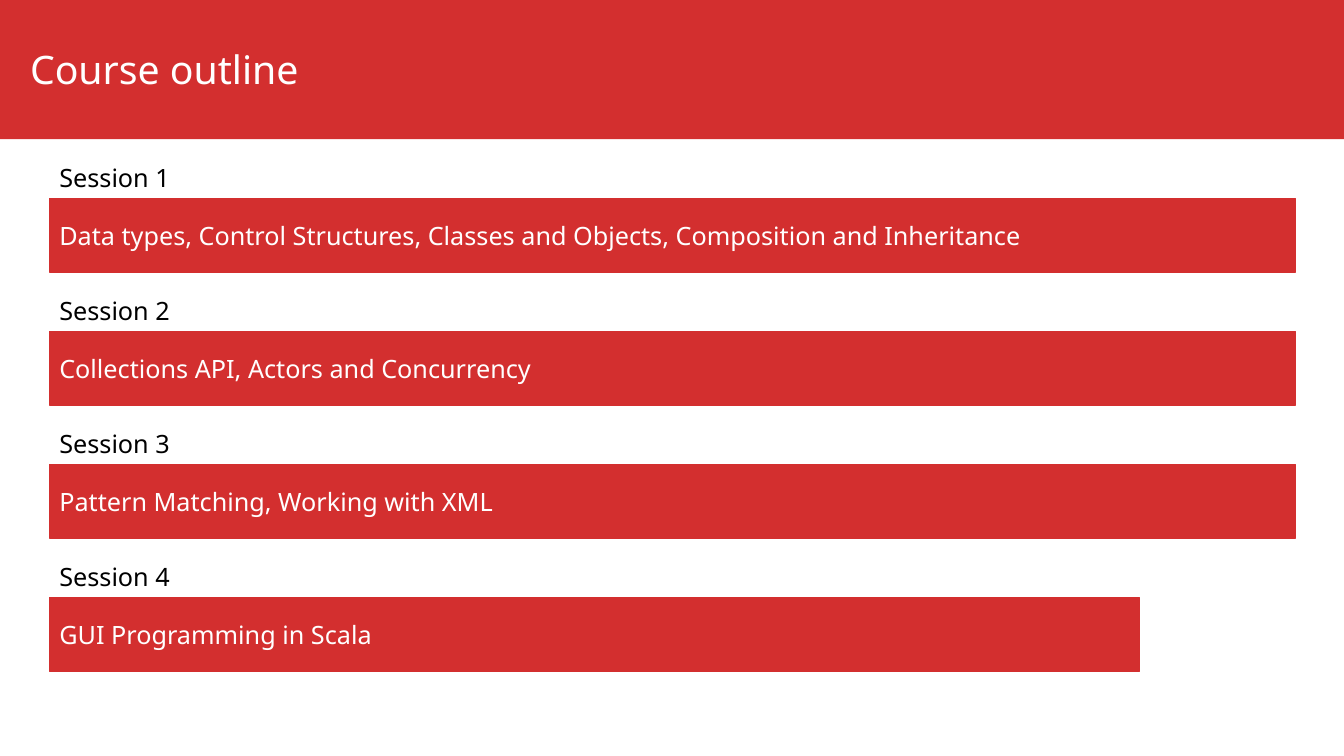
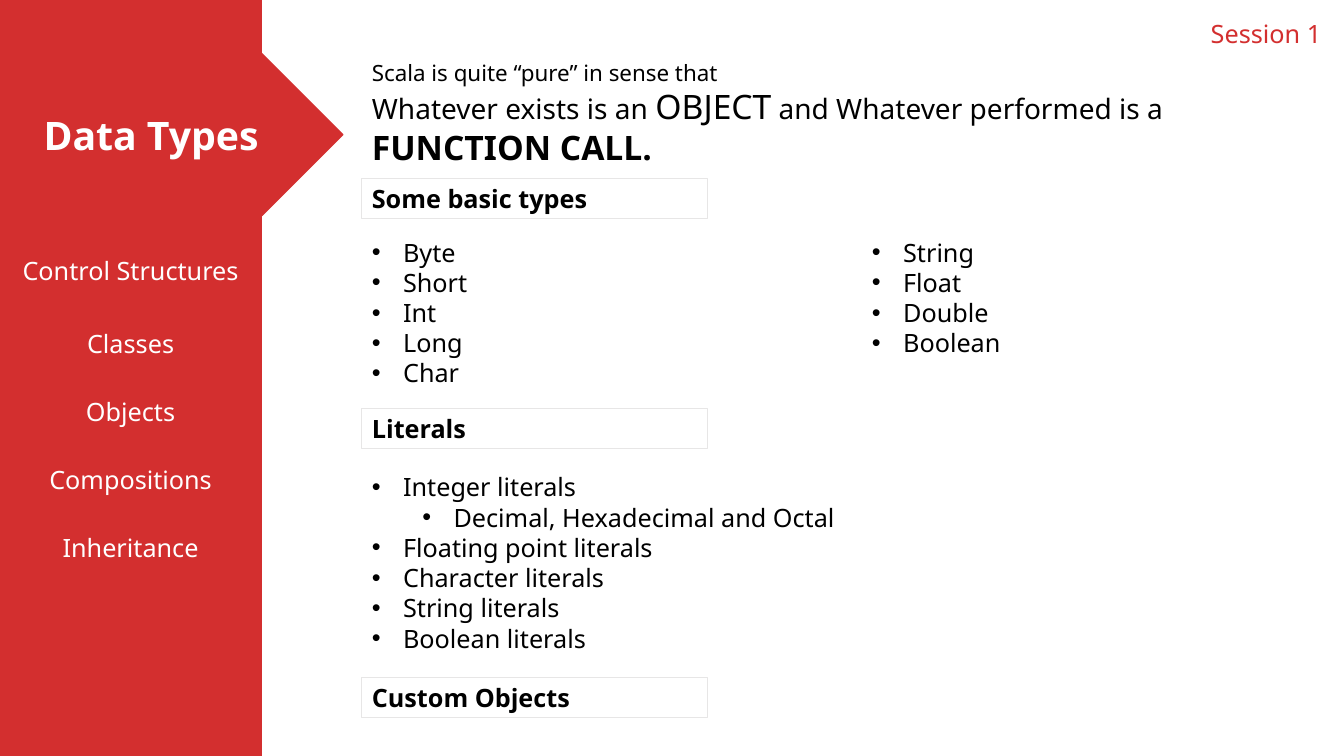
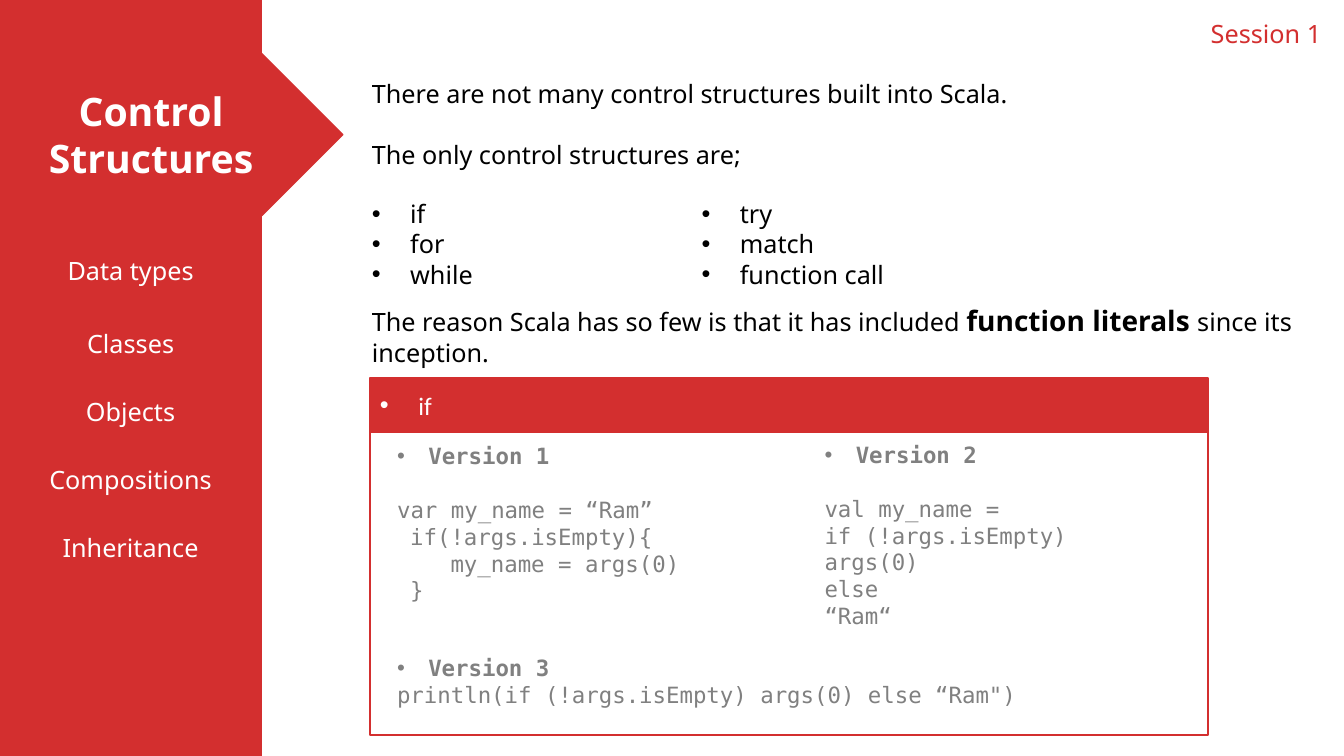
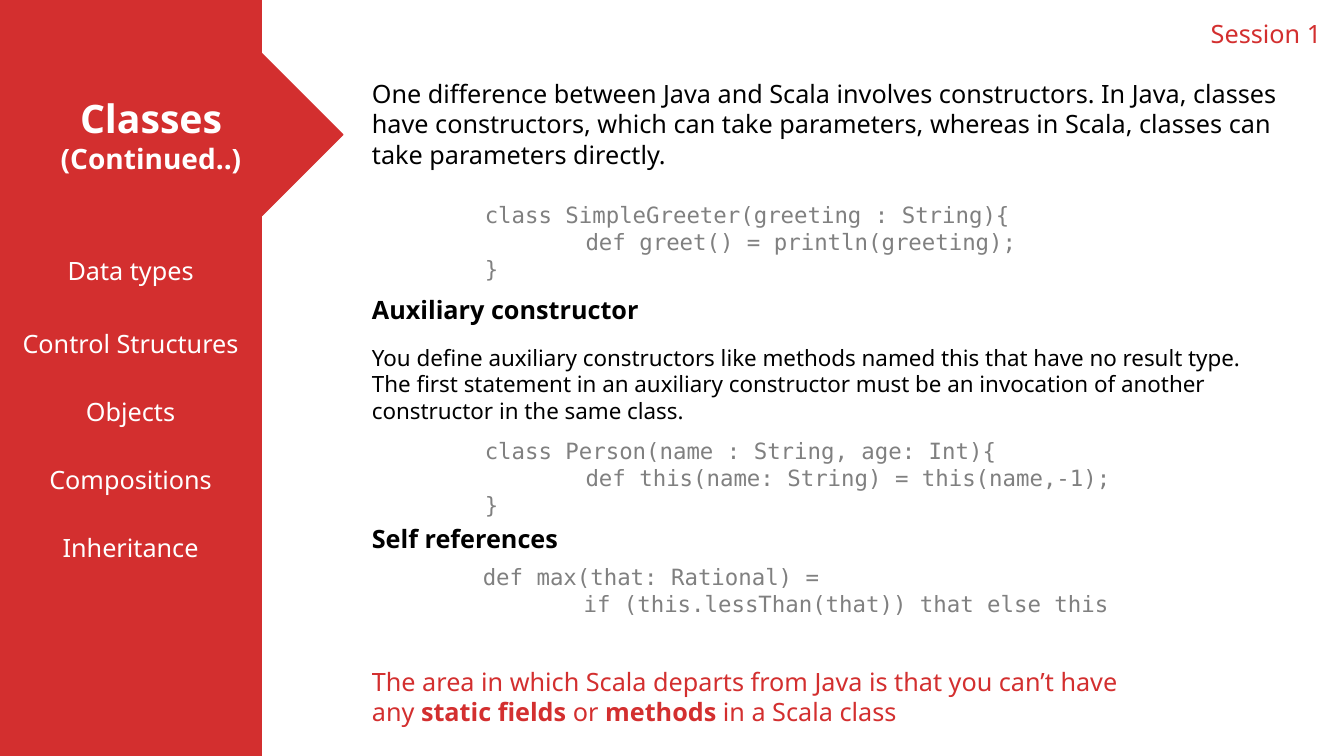
import dataclasses

import lxml.etree
import pptx
import pptx.dml.color
import pptx.enum.shapes
import pptx.enum.text
import pptx.oxml.ns
import pptx.util

Inches = pptx.util.Inches
Pt = pptx.util.Pt
RGBColor = pptx.dml.color.RGBColor
Kind = pptx.enum.shapes.MSO_SHAPE
Align = pptx.enum.text.PP_ALIGN
Anchor = pptx.enum.text.MSO_ANCHOR

RED = RGBColor(0xD3, 0x2F, 0x2F)
WHITE = RGBColor(0xFF, 0xFF, 0xFF)
BLACK = RGBColor(0, 0, 0)
GRAY = RGBColor(0x80, 0x80, 0x80)
PALE = RGBColor(0xE7, 0xE6, 0xE6)

SANS = "Noto Sans"
MONO = "DejaVu Sans Mono"


@dataclasses.dataclass
class Style:
    """Look of the text in one box."""
    size: int = 18
    color: RGBColor = BLACK
    font: str = SANS
    bold: bool = False
    align: Align = Align.LEFT
    hang: float = 0.31


@dataclasses.dataclass
class Line:
    """One paragraph; a span is (text, size, bold)."""
    text: str = ""
    spans: tuple = ()
    size: int = 0
    bold: bool = False
    bullet: bool = False
    indent: float = 0
    gap: float = 0


BODY = Style()
SMALL = Style(size=16)
HEADING = Style(bold=True)
CODE = Style(size=16, color=GRAY, font=MONO)
ON_RED = Style(color=WHITE)
TITLE = Style(size=28, color=WHITE)
ARROW_TITLE = Style(size=28, color=WHITE, bold=True, align=Align.CENTER)
TOPIC = Style(color=WHITE, align=Align.CENTER)
RED_NOTE = Style(color=RED)
KEYWORDS = Style(hang=0.38)
PANEL_TITLE = Style(color=WHITE, font="Calibri", hang=0.38)

# Content
SESSIONS = [
    ("Session 1", "Data types, Control Structures, Classes and Objects, "
                  "Composition and Inheritance", 12.36),
    ("Session 2", "Collections API, Actors and Concurrency", 12.36),
    ("Session 3", "Pattern Matching, Working with XML", 12.36),
    ("Session 4", "GUI Programming in Scala", 10.81),
]
TOPICS = ["Data types", "Control Structures", "Classes", "Objects",
          "Compositions", "Inheritance"]

PURE_SCALA = [
    "Scala is quite “pure” in sense that",
    Line(spans=(("Whatever exists is an ", 20, False),
                ("OBJECT", 24, False),
                (" and Whatever performed is a ", 20, False),
                ("FUNCTION CALL.", 24, True))),
]
TYPE_HEADINGS = [("Some basic types", 1.77), ("Literals", 4.05),
                 ("Custom Objects", 6.72)]
TYPE_COLUMNS = [(3.59, ["Byte", "Short", "Int", "Long", "Char"]),
                (8.55, ["String", "Float", "Double", "Boolean"])]
LITERALS = [
    Line("Integer literals", bullet=True),
    Line("Decimal, Hexadecimal and Octal", bullet=True, indent=0.5),
    Line("Floating point literals", bullet=True),
    Line("Character literals", bullet=True),
    Line("String literals", bullet=True),
    Line("Boolean literals", bullet=True),
]

FEW_STRUCTURES = [
    Line("There are not many control structures built into Scala.", gap=22),
    "The only control structures are;",
]
KEYWORD_COLUMNS = [(3.59, ["if", "for", "while"]),
                   (6.86, ["try", "match", "function call"])]
REASON = [Line(spans=(
    ("The reason Scala has so few is that it has included ", 18, False),
    ("function literals ", 20, True),
    ("since its inception.", 18, False)))]
IF_VERSIONS = [
    ((3.84, 4.34, 3.51, 1.99), [
        Line("Version 1", bold=True, bullet=True, gap=19),
        "var my_name = “Ram”",
        Line("if(!args.isEmpty){", indent=0.13),
        Line("my_name = args(0)", indent=0.53),
        Line("}", indent=0.13)]),
    ((8.08, 4.33, 2.86, 1.99), [
        Line("Version 2", bold=True, bullet=True, gap=19),
        "val my_name =", "if (!args.isEmpty)", "args(0)", "else", "“Ram“"]),
    ((3.84, 6.44, 8.07, 0.64), [
        Line("Version 3", bold=True, bullet=True),
        "println(if (!args.isEmpty) args(0) else “Ram\")"]),
]

CLASS_TEXTS = [
    ((3.59, 0.73, 9.49, 1.01), BODY, [
        "One difference between Java and Scala involves constructors. In Java, "
        "classes have constructors, which can take parameters, whereas in "
        "Scala, classes can take parameters directly."]),
    ((4.71, 1.95, 6.73, 0.91), CODE, [
        "class SimpleGreeter(greeting : String){",
        Line("def greet() = println(greeting);", indent=1), "}"]),
    ((3.59, 2.87, 2.99, 0.4), HEADING, ["Auxiliary constructor"]),
    ((3.59, 3.36, 9.49, 0.91), SMALL, [
        "You deﬁne auxiliary constructors like methods named this that have "
        "no result type.",
        "The ﬁrst statement in an auxiliary constructor must be an invocation "
        "of another constructor in the same class."]),
    ((4.71, 4.29, 6.73, 0.91), CODE, [
        "class Person(name : String, age: Int){",
        Line("def this(name: String) = this(name,-1);", indent=1), "}"]),
    ((3.59, 5.14, 2.14, 0.4), HEADING, ["Self references"]),
    ((4.69, 5.54, 6.73, 0.64), CODE, [
        "def max(that: Rational) =",
        Line("if (this.lessThan(that)) that else this", indent=1)]),
    ((3.59, 6.56, 7.86, 0.71), RED_NOTE, [Line(spans=(
        ("The area in which Scala departs from Java is that you can’t have any ",
         18, False),
        ("static ﬁelds ", 18, True), ("or ", 18, False),
        ("methods ", 18, True), ("in a Scala class", 18, False)))]),
]


def set_indent(paragraph, line, hang):
    """Indent a paragraph and give it a bullet if it has one."""
    properties = paragraph._p.get_or_add_pPr()
    left = line.indent + (hang if line.bullet else 0)
    properties.set("marL", str(Inches(left)))
    if line.bullet:
        properties.set("indent", str(Inches(-hang)))
        for tag, name, value in (("a:buFont", "typeface", "Arial"),
                                 ("a:buChar", "char", "•")):
            mark = lxml.etree.SubElement(properties, pptx.oxml.ns.qn(tag))
            mark.set(name, value)


def write(box, lines, style):
    """Fill a box with paragraphs in one style."""
    frame = box.text_frame
    frame.word_wrap = True
    for number, line in enumerate(lines):
        if isinstance(line, str):
            line = Line(line)
        paragraph = frame.add_paragraph() if number else frame.paragraphs[0]
        set_indent(paragraph, line, style.hang)
        paragraph.alignment = style.align
        paragraph.space_after = Pt(line.gap)
        font = paragraph.font
        font.name = style.font
        font.color.rgb = style.color
        font.size = Pt(line.size or style.size)
        font.bold = line.bold or style.bold
        if line.text:
            paragraph.add_run().text = line.text
        for text, size, bold in line.spans:
            span = paragraph.add_run()
            span.text = text
            span.font.size = Pt(size)
            span.font.bold = bold


def add_text(page, place, lines, style=BODY):
    """Add a text box at (left, top, width, height)."""
    box = page.shapes.add_textbox(*map(Inches, place))
    write(box, lines, style)
    return box


def add_block(page, place, fill=RED, kind=Kind.RECTANGLE, lines=(), style=ON_RED):
    """Add a filled shape with a red edge and text in its middle."""
    block = page.shapes.add_shape(kind, *map(Inches, place))
    block.shadow.inherit = False
    block.fill.solid()
    block.fill.fore_color.rgb = fill
    block.line.color.rgb = RED
    block.line.width = Pt(1)
    block.text_frame.vertical_anchor = Anchor.MIDDLE
    write(block, lines, style)
    return block


def bulleted(words):
    """Turn words into bulleted lines."""
    return [Line(word, bullet=True) for word in words]


def add_page(deck):
    """Add a blank page."""
    return deck.slides.add_slide(deck.slide_layouts[6])


def add_topic_page(deck, current, title):
    """Add a page with the red sidebar, arrow title and other topics."""
    page = add_page(deck)
    add_block(page, (0, 0, 2.59, 7.5))
    add_text(page, (11.91, 0.13, 1.42, 0.4), ["Session 1"], RED_NOTE)
    add_block(page, (0, 0.53, 3.4, 1.61), kind=Kind.RIGHT_ARROW,
              lines=title, style=ARROW_TITLE)
    others = [topic for topic in TOPICS if topic != current]
    for row, topic in enumerate(others):
        top = 3.21 + 0.675 * (row - 1) if row else 2.48
        add_text(page, (0, top, 2.59, 0.4), [topic], TOPIC)
    return page


def build_outline(deck):
    """Course outline: one label and one bar a session."""
    page = add_page(deck)
    band = add_block(page, (0, 0, 13.33, 1.38))
    band.line.fill.background()
    add_text(page, (0.2, 0.4, 5.24, 0.57), ["Course outline"], TITLE)
    for row, (label, subject, width) in enumerate(SESSIONS):
        top = 1.56 + 1.32 * row
        add_block(page, (0.49, top + 0.41, width, 0.73), lines=[subject])
        add_text(page, (0.49, top, 2.78, 0.4), [label])


def build_data_types(deck):
    """Basic types and literals under framed headings."""
    page = add_topic_page(deck, "Data types", ["Data Types"])
    add_text(page, (3.59, 0.54, 9.49, 1.21), PURE_SCALA, SMALL)
    for heading, top in TYPE_HEADINGS:
        frame = add_text(page, (3.59, top, 3.43, 0.4), [heading], HEADING)
        frame.line.color.rgb = PALE
        frame.line.width = Pt(0.75)
    for left, names in TYPE_COLUMNS:
        add_text(page, (left, 2.3, 1.73, 1.62), bulleted(names))
    add_text(page, (3.59, 4.63, 4.97, 1.92), LITERALS)


def build_control_structures(deck):
    """Keywords, and a panel with three versions of if."""
    page = add_topic_page(deck, "Control Structures", ["Control", "Structures"])
    add_text(page, (3.59, 0.73, 9.49, 1.01), FEW_STRUCTURES)
    for left, words in KEYWORD_COLUMNS:
        add_text(page, (left, 1.92, 2.64, 1.01), bulleted(words), KEYWORDS)
    add_text(page, (3.59, 2.96, 9.49, 0.74), REASON)
    add_block(page, (3.67, 3.77, 8.31, 3.52), fill=WHITE)
    add_block(page, (3.67, 3.75, 8.31, 0.54), lines=bulleted(["if"]),
              style=PANEL_TITLE)
    for place, lines in IF_VERSIONS:
        add_text(page, place, lines, CODE)


def build_classes(deck):
    """Constructors and self references with code samples."""
    page = add_topic_page(deck, "Classes",
                          ["Classes", Line("(Continued..)", size=20)])
    for place, style, lines in CLASS_TEXTS:
        add_text(page, place, lines, style)


def main():
    """Build and save the deck."""
    deck = pptx.Presentation()
    deck.slide_width = Inches(13.33)
    deck.slide_height = Inches(7.5)
    build_outline(deck)
    build_data_types(deck)
    build_control_structures(deck)
    build_classes(deck)
    deck.save("out.pptx")


main()
